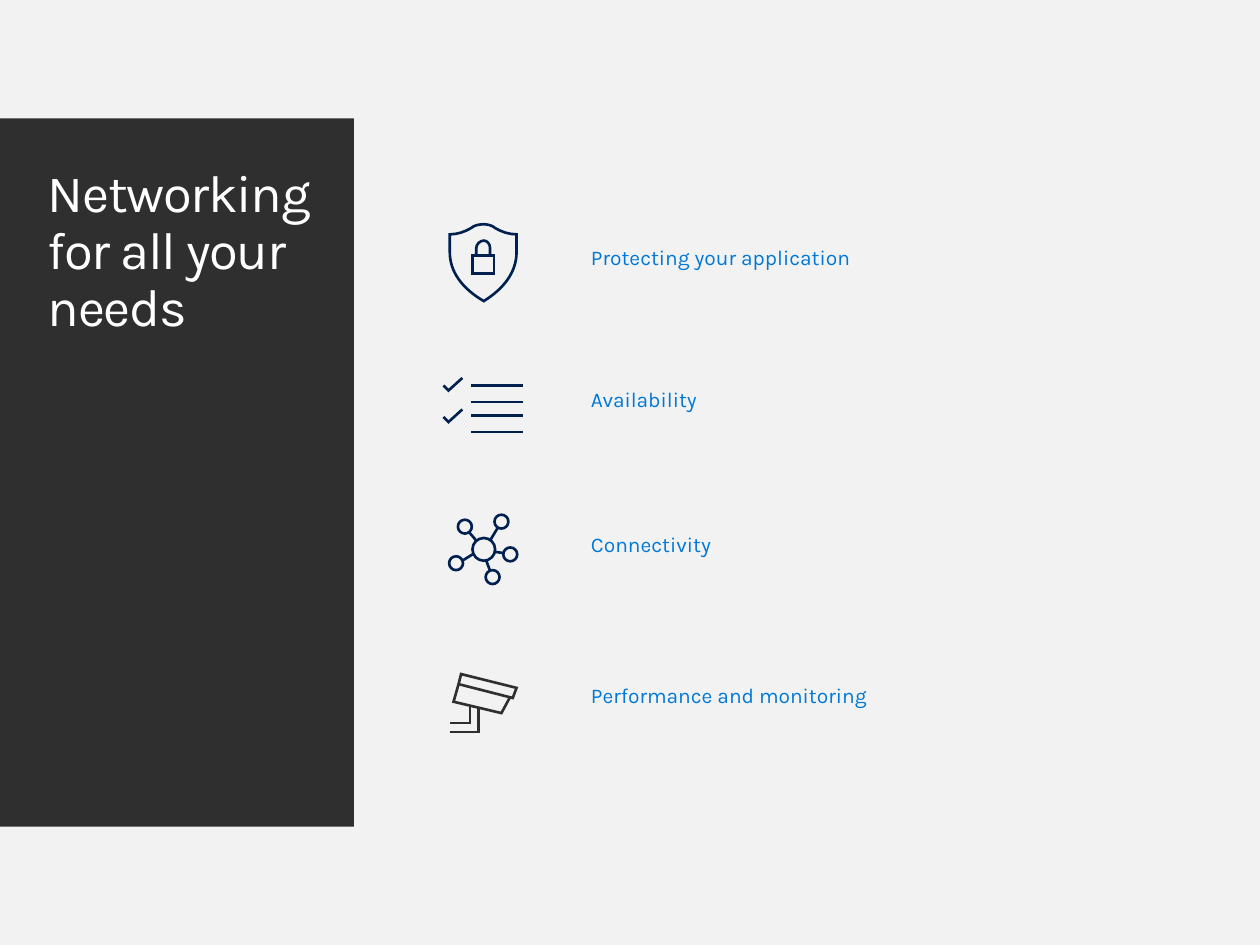
from dataclasses import dataclass

from lxml import etree
from pptx import Presentation
from pptx.dml.color import RGBColor
from pptx.enum.shapes import MSO_SHAPE
from pptx.enum.text import MSO_ANCHOR, MSO_AUTO_SIZE, PP_ALIGN
from pptx.oxml.ns import qn
from pptx.util import Inches, Pt

RECT = MSO_SHAPE.RECTANGLE
TOP = MSO_ANCHOR.TOP
LEFT = PP_ALIGN.LEFT
NO_FIT = MSO_AUTO_SIZE.NONE
GROW = MSO_AUTO_SIZE.SHAPE_TO_FIT_TEXT
TITLE_ONLY = 5


@dataclass(frozen=True)
class Theme:
    font: str = "Karla"
    background: str = "F2F2F2"
    dark: str = "2F2F2F"
    navy: str = "002050"
    blue: str = "0078D7"
    white: str = "FFFFFF"
    title_size: float = 30
    label_size: float = 12
    icon_line: float = 1.5


THEME = Theme()


def rgb(value):
    return RGBColor.from_string(value)


def format_text(shape, text, size, color, inset_x, inset_y):
    tf = shape.text_frame
    tf.text = text
    tf.word_wrap = True
    tf.vertical_anchor = TOP
    tf.margin_left = tf.margin_right = Inches(inset_x)
    tf.margin_top = tf.margin_bottom = Inches(inset_y)
    p = tf.paragraphs[0]
    p.alignment = LEFT
    p.line_spacing = 0.9
    r = p.runs[0]
    r.font.name = THEME.font
    r.font.size = Pt(size)
    r.font.color.rgb = rgb(color)
    return p


def add_panel(s):
    sp = s.shapes.add_shape(RECT, 0, Inches(0.94), Inches(2.81), Inches(5.62))
    sp.shadow.inherit = False
    sp.fill.solid()
    sp.fill.fore_color.rgb = rgb(THEME.dark)
    sp.line.fill.background()
    s.shapes._spTree.insert(2, sp._element)


def add_title(s, text):
    sp = s.shapes.title
    sp.left, sp.top = Inches(0.22), Inches(1.23)
    sp.width, sp.height = Inches(2.4), Inches(0.74)
    p = format_text(sp, text, THEME.title_size, THEME.white, 0.16, 0.1)
    sp.text_frame.auto_size = NO_FIT
    p.runs[0]._r.get_or_add_rPr().set("spc", "-75")


def add_label(s, text, top, width):
    sp = s.shapes.add_textbox(Inches(4.54), Inches(top), Inches(width), Inches(0.42))
    p = format_text(sp, text, THEME.label_size, THEME.blue, 0.15, 0.12)
    p.space_after = Pt(4.5)
    sp.text_frame.auto_size = GROW


def line(*points):
    return points[0], [(point,) for point in points[1:]], False


def polygon(*points):
    return points[0], [(point,) for point in points[1:]], True


def circle(cx, cy, radius):
    k = 0.55 * radius
    segments = []
    dx, dy = radius, 0
    for _ in range(4):
        tx, ty = -dy * k / radius, dx * k / radius
        nx, ny = -dy, dx
        segments.append(((cx + dx + tx, cy + dy + ty),
                         (cx + nx + dx * k / radius, cy + ny + dy * k / radius),
                         (cx + nx, cy + ny)))
        dx, dy = nx, ny
    return (cx + radius, cy), segments, True


def bend_segments(sp, contours):
    drawn = iter(list(sp._element.iter(qn("a:lnTo"))))
    for _, segments, _ in contours:
        for segment in segments:
            steps = [next(drawn) for _ in segment]
            if len(steps) == 3:
                bezier = etree.Element(qn("a:cubicBezTo"))
                steps[0].addprevious(bezier)
                for step in steps:
                    bezier.append(step[0])
                    step.getparent().remove(step)


def add_icon(shapes, contours, color):
    builder = None
    for start, segments, closed in contours:
        x, y = map(Inches, start)
        if builder is None:
            builder = shapes.build_freeform(x, y)
        else:
            builder.move_to(x, y)
        points = [(Inches(px), Inches(py)) for seg in segments for px, py in seg]
        builder.add_line_segments(points, close=closed)
    sp = builder.convert_to_shape()
    bend_segments(sp, contours)
    sp.shadow.inherit = False
    sp.fill.background()
    sp.line.color.rgb = rgb(color)
    sp.line.width = Pt(THEME.icon_line)
    miter = etree.SubElement(sp.line._get_or_add_ln(), qn("a:miter"))
    miter.set("lim", "800000")


def add_shield(s):
    outline = ((4.1, 2), [
        ((4.1, 2.16), (4, 2.29), (3.84, 2.39)),
        ((3.67, 2.29), (3.57, 2.16), (3.57, 2)),
        ((3.57, 1.86),),
        ((3.63, 1.86), (3.69, 1.84), (3.74, 1.81)),
        ((3.76, 1.79), (3.8, 1.78), (3.84, 1.78)),
        ((3.87, 1.78), (3.91, 1.79), (3.93, 1.81)),
        ((3.98, 1.84), (4.04, 1.86), (4.1, 1.86))], True)
    body = polygon((3.92, 2.17), (3.75, 2.17), (3.75, 2.03), (3.92, 2.03))
    shackle = ((3.89, 2.03), [
        ((3.89, 1.97),),
        ((3.89, 1.94), (3.87, 1.91), (3.84, 1.91)),
        ((3.81, 1.91), (3.78, 1.94), (3.78, 1.97)),
        ((3.78, 2.03),)], False)
    group = s.shapes.add_group_shape()
    add_icon(group.shapes, [outline], THEME.navy)
    add_icon(group.shapes, [body, shackle], THEME.navy)


def add_checklist(s):
    lines = [line((3.74, y), (4.15, y)) for y in (3.06, 3.19, 3.3, 3.43)]
    checks = [line((3.52, y + 0.06), (3.56, y + 0.1), (3.67, y)) for y in (3, 3.25)]
    add_icon(s.shapes, lines + checks, THEME.navy)


def add_network(s):
    nodes = [(3.98, 4.14), (3.69, 4.18), (3.62, 4.47), (3.91, 4.58), (4.05, 4.4)]
    links = [((3.95, 4.19), (3.89, 4.29)), ((3.78, 4.29), (3.72, 4.22)),
             ((3.67, 4.45), (3.75, 4.4)), ((3.89, 4.53), (3.86, 4.45)),
             ((3.93, 4.38), (4, 4.39))]
    contours = [circle(3.84, 4.36, 0.09)]
    contours += [circle(x, y, 0.055) for x, y in nodes]
    contours += [line(*link) for link in links]
    add_icon(s.shapes, contours, THEME.navy)


def add_camera(s):
    hood = polygon((3.64, 5.43), (4.07, 5.54), (4.1, 5.46), (3.66, 5.35))
    body = line((3.64, 5.43), (3.6, 5.57), (3.98, 5.66), (4.05, 5.53))
    inner_arm = line((3.73, 5.6), (3.73, 5.74), (3.57, 5.74))
    outer_arm = line((3.57, 5.81), (3.8, 5.81), (3.8, 5.62))
    add_icon(s.shapes, [inner_arm, outer_arm, hood, body], THEME.dark)


def main():
    prs = Presentation()
    prs.slide_width, prs.slide_height = Inches(10), Inches(7.5)
    s = prs.slides.add_slide(prs.slide_layouts[TITLE_ONLY])
    s.background.fill.solid()
    s.background.fill.fore_color.rgb = rgb(THEME.background)
    add_panel(s)
    add_title(s, "Networking for all your needs")
    labels = [("Protecting your application", 1.87, 2.88),
              ("Performance and monitoring", 5.35, 3.37),
              ("Availability", 3, 2.65),
              ("Connectivity", 4.15, 2.65)]
    for text, top, width in labels:
        add_label(s, text, top, width)
    for add_row_icon in (add_checklist, add_shield, add_network, add_camera):
        add_row_icon(s)
    prs.save("out.pptx")


if __name__ == "__main__":
    main()
